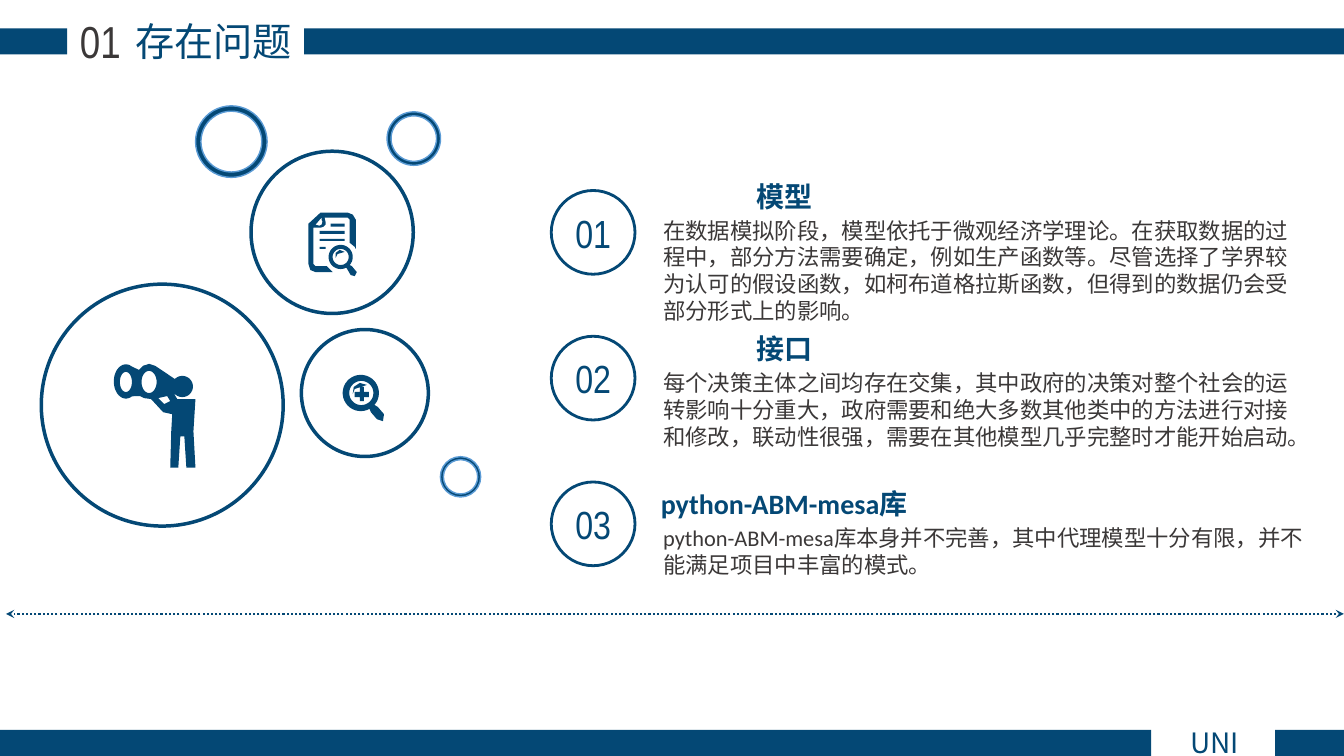
from dataclasses import dataclass
from math import cos, radians, sin

from lxml import etree
from pptx import Presentation
from pptx.dml.color import RGBColor
from pptx.enum import dml, shapes, text
from pptx.oxml.ns import qn
from pptx.util import Pt


@dataclass(frozen=True)
class Theme:
    navy: RGBColor = RGBColor(0x04, 0x48, 0x75)
    rim: RGBColor = RGBColor(0x5B, 0x9B, 0xD5)
    ink: RGBColor = RGBColor(0x3B, 0x38, 0x38)
    cjk: str = "Noto Sans CJK SC"
    latin: str = "Calibri"
    narrow: str = "Arial Narrow"
    section: int = 32
    title: int = 28
    heading: int = 20
    body: int = 16
    leading: int = 19


THEME = Theme()
WIDTH, HEIGHT = 960, 540
ICON_UNIT = 0.72

ITEMS = [
    ("01", "模型", "在数据模拟阶段，模型依托于微观经济学理论。在获取数据的过程中，部分方法需要确定，"
     "例如生产函数等。尽管选择了学界较为认可的假设函数，如柯布道格拉斯函数，但得到的数据仍会受"
     "部分形式上的影响。", 124.6, 84.2),
    ("02", "接口", "每个决策主体之间均存在交集，其中政府的决策对整个社会的运转影响十分重大，"
     "政府需要和绝大多数其他类中的方法进行对接和修改，联动性很强，"
     "需要在其他模型几乎完整时才能开始启动。", 233.6, 64.8),
    ("03", "python-ABM-mesa库", "python-ABM-mesa库本身并不完善，其中代理模型十分有限，"
     "并不能满足项目中丰富的模式。", 344.2, 45.4),
]


def arc(x, y, rx, ry, start=0, end=360, steps=36):
    """Points along an ellipse; angles in degrees, clockwise from the right."""
    angles = [radians(start + (end - start) * i / steps) for i in range(steps + 1)]
    return [(x + rx * cos(a), y + ry * sin(a)) for a in angles]


def box(left, top, right, bottom):
    return [(left, top), (right, top), (right, bottom), (left, bottom)]


OBSERVER = [
    [(35, 0), (29, 2), (25, 6)] + arc(12, 17.5, 12, 17, -60, -300)
    + [(26, 32), (30, 34), (37, 35), (49, 48), (58, 50), (57, 67), (56, 103),
       (64, 103), (66, 72), (70, 72), (72, 103), (81, 103), (79, 67), (81, 35),
       (63, 35), (60, 30)] + arc(68, 22.5, 10.5, 10.5, 135, -135) + [(41, 2)],
    [(56, 37), (50, 40), (44, 34), (53, 32)],
    arc(12, 18, 6, 10),
    arc(35, 18, 7.5, 11),
]
DOCUMENT = [
    [(13, 0), (39, 0), (44, 2), (47, 7), (47, 36), (46, 34), (41, 30), (41, 7),
     (39, 5), (16, 5), (17, 9), (17, 12), (15, 14), (12, 15), (5, 15), (5, 51),
     (7, 53), (18, 53), (20, 55), (24, 59), (7, 59), (2, 57), (0, 51), (0, 11), (12, 0)],
    box(11, 34, 17, 36), box(11, 26, 36, 28), box(11, 18, 36, 21), box(22, 11, 36, 14),
    [(27, 45), (29, 41), (36, 39), (31, 37), (27, 40)],
    arc(32, 44, 12, 12, 42, -298) + [(42, 62), (46, 63), (48, 59), (43, 53)],
    arc(32, 44, 8, 8),
    [(13, 5), (7, 12), (11, 13), (13, 12), (14, 9), (13, 7)],
]
MAGNIFIER = [
    arc(18, 18, 18, 18, 41, -299) + [(28, 37), (34, 44), (40, 46), (41, 39), (35, 32)],
    arc(18.5, 18, 12, 12),
    [(17, 26), (21, 26), (21, 22), (26, 22), (26, 17), (21, 17),
     (21, 12), (17, 12), (17, 17), (12, 17), (12, 22), (17, 22)],
    [(10, 19), (12, 14), (24, 10), (17, 8), (11, 12)],
]


def add_figure(slide, kind, left, top, width, height, fill=None, line=None, weight=1):
    shape = slide.shapes.add_shape(kind, Pt(left), Pt(top), Pt(width), Pt(height))
    paint(shape, fill, line, weight)
    return shape


def paint(shape, fill=None, line=None, weight=1):
    shape.shadow.inherit = False
    for part, colour in ((shape.fill, fill), (shape.line.fill, line)):
        if colour is None:
            part.background()
        else:
            part.solid()
            part.fore_color.rgb = colour
    if line is not None:
        shape.line.width = Pt(weight)


def add_text(slide, words, left, top, width, height, size, font, colour,
             bold=False, align=text.PP_ALIGN.CENTER, leading=None):
    frame = slide.shapes.add_textbox(Pt(left), Pt(top), Pt(width), Pt(height)).text_frame
    frame.word_wrap = True
    frame.auto_size = text.MSO_AUTO_SIZE.SHAPE_TO_FIT_TEXT
    paragraph = frame.paragraphs[0]
    paragraph.alignment = align
    if leading:
        paragraph.line_spacing = Pt(leading)
    run = paragraph.add_run()
    run.text = words
    run.font.size, run.font.name, run.font.bold = Pt(size), font, bold
    run.font.color.rgb = colour
    etree.SubElement(run.font._element, qn("a:ea")).set("typeface", THEME.cjk)


def add_icon(slide, contours, left, top):
    placed = [[(Pt(left + x * ICON_UNIT), Pt(top + y * ICON_UNIT)) for x, y in contour]
              for contour in contours]
    builder = slide.shapes.build_freeform(*placed[0][0])
    for contour in placed:
        if contour is not placed[0]:
            builder.move_to(*contour[0])
        builder.add_line_segments(contour[1:], close=True)
    paint(builder.convert_to_shape(), THEME.navy)


def add_band(slide, top, height, gap_left, gap_right):
    """Full-width bar with a gap for a label."""
    for left, right in ((0, gap_left), (gap_right, WIDTH)):
        add_figure(slide, shapes.MSO_SHAPE.RECTANGLE, left, top, right - left, height, THEME.navy)


def add_header(slide, top):
    add_band(slide, top, 18.7, 48, 217.2)
    add_text(slide, "存在问题", 23, top - 11.5, 259.2, 41, THEME.title, THEME.cjk, THEME.navy)
    add_text(slide, "01", 43.2, top - 13.7, 56.9, 46, THEME.section, THEME.narrow, THEME.ink)


def add_footer(slide, top):
    add_band(slide, top, HEIGHT - top, 822.2, 910.8)
    add_text(slide, "UNI", 808.6, top - 6.5, 118, 31.7, THEME.heading, THEME.cjk, THEME.navy)


def add_bubbles(slide, left, top):
    for x, y, size in ((110.2, 0, 51.1), (247, 4.3, 38.2), (285.1, 250.6, 28.8)):
        ring = add_figure(slide, shapes.MSO_SHAPE.DONUT, left + x, top + y, size, size,
                          THEME.navy, THEME.rim)
        ring.adjustments[0] = 0.075
    bubbles = (
        (0, 127.4, 172.8, OBSERVER, 51.8, 56.9),
        (149.8, 32.4, 115.9, DOCUMENT, 41, 43.9),
        (185.8, 159.8, 90.7, MAGNIFIER, 29.5, 32.4),
    )
    for x, y, size, icon, icon_x, icon_y in bubbles:
        add_figure(slide, shapes.MSO_SHAPE.OVAL, left + x, top + y, size, size,
                   line=THEME.navy, weight=2.5)
        add_icon(slide, icon, left + x + icon_x, top + y + icon_y)


def add_problems(slide, left, top, pitch):
    for index, (number, heading, body, heading_top, body_height) in enumerate(ITEMS):
        circle_top = top + index * pitch
        add_text(slide, number, left - 18.7, circle_top + 9.6, 97.2, 41,
                 THEME.title, THEME.narrow, THEME.navy)
        add_figure(slide, shapes.MSO_SHAPE.OVAL, left, circle_top, 59.8, 59.8,
                   line=THEME.navy, weight=2)
        add_text(slide, heading, left + 44, heading_top, 244.8, 31.7,
                 THEME.heading, THEME.latin, THEME.navy, bold=True)
        add_text(slide, body, left + 72.8, heading_top + 27, 476.6, body_height,
                 THEME.body, THEME.latin, THEME.ink,
                 align=text.PP_ALIGN.LEFT, leading=THEME.leading)


def add_divider(slide, left, right, top):
    connector = slide.shapes.add_connector(
        shapes.MSO_CONNECTOR.STRAIGHT, Pt(right), Pt(top), Pt(left), Pt(top))
    connector.line.color.rgb = THEME.navy
    connector.line.width = Pt(1.5)
    connector.line.dash_style = dml.MSO_LINE.ROUND_DOT
    properties = connector._element.spPr
    for end in ("a:headEnd", "a:tailEnd"):
        etree.SubElement(properties.find(qn("a:ln")), qn(end)).set("type", "stealth")
    etree.SubElement(properties, qn("a:effectLst"))


def main():
    presentation = Presentation()
    presentation.slide_width, presentation.slide_height = Pt(WIDTH), Pt(HEIGHT)
    slide = presentation.slides.add_slide(presentation.slide_layouts[6])
    add_header(slide, 20.2)
    add_footer(slide, 521.3)
    add_bubbles(slide, 29.5, 75.6)
    add_problems(slide, 393.8, 136.1, 104.1)
    add_divider(slide, 4.3, WIDTH, 438.5)
    presentation.save("out.pptx")


if __name__ == "__main__":
    main()
